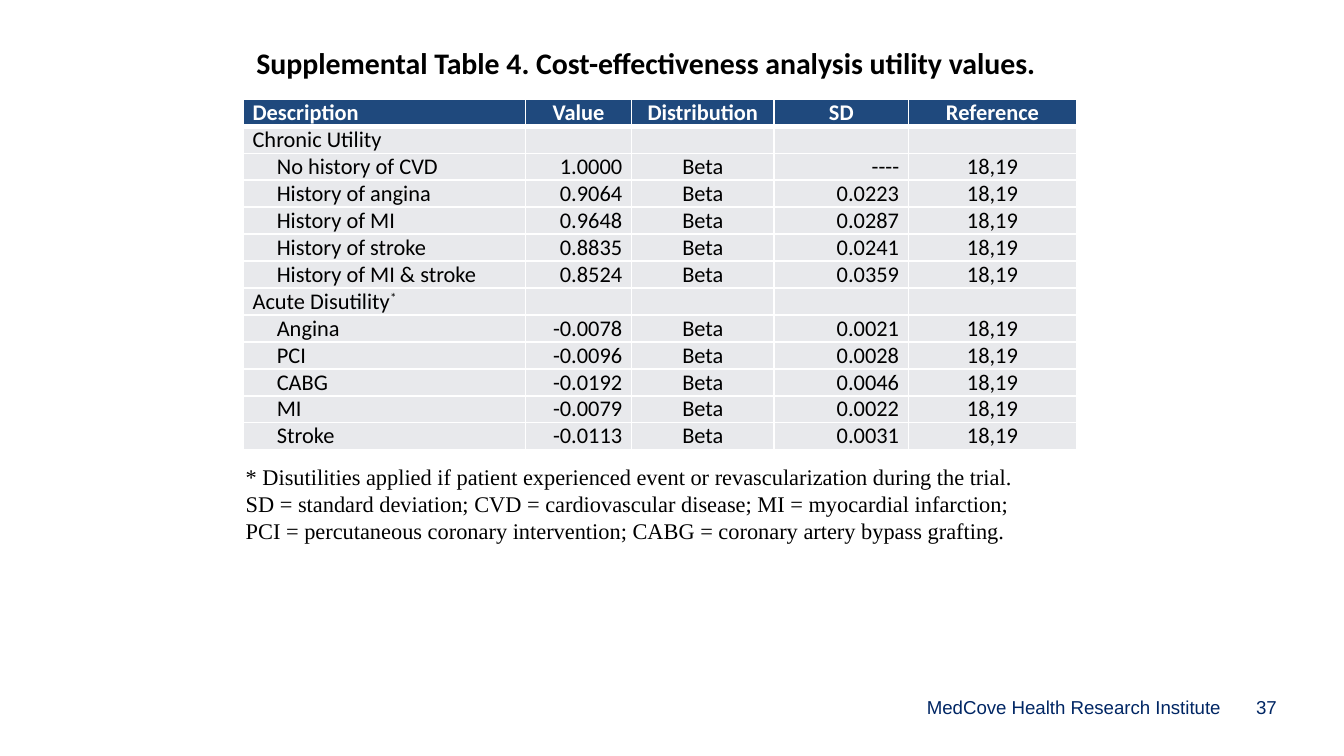
from dataclasses import dataclass

from lxml import etree
from pptx import Presentation
from pptx import util as u
from pptx.dml.color import RGBColor
from pptx.enum import text
from pptx.oxml import ns

LEFT, CENTER, RIGHT = text.PP_ALIGN.LEFT, text.PP_ALIGN.CENTER, text.PP_ALIGN.RIGHT


@dataclass(frozen=True)
class Theme:
    white: str = "FFFFFF"
    black: str = "000000"
    navy: str = "002664"
    header: str = "1F497D"
    cell: str = "E8E9EC"
    table_font: str = "Calibri"
    note_font: str = "Times New Roman"
    footer_font: str = "Arial"
    title_size: int = 16
    body_size: int = 12
    footer_size: int = 10


T = Theme()
SLIDE_WIDTH = 10
SLIDE_HEIGHT = SLIDE_WIDTH * 9 / 16
HEADERS = ["Description", "Value", "Distribution", "SD", "Reference"]
ALIGNS = [LEFT, RIGHT, CENTER, RIGHT, CENTER]
COL_WIDTHS = [2.1, 0.79, 1.06, 1, 1.25]
GROUPS = {
    "Chronic Utility": [
        ("No history of CVD", "1.0000", "----"),
        ("History of angina", "0.9064", "0.0223"),
        ("History of MI", "0.9648", "0.0287"),
        ("History of stroke", "0.8835", "0.0241"),
        ("History of MI & stroke", "0.8524", "0.0359"),
    ],
    "Acute Disutility*": [
        ("Angina", "-0.0078", "0.0021"),
        ("PCI", "-0.0096", "0.0028"),
        ("CABG", "-0.0192", "0.0046"),
        ("MI", "-0.0079", "0.0022"),
        ("Stroke", "-0.0113", "0.0031"),
    ],
}
NOTES = [
    "* Disutilities applied if patient experienced event or revascularization during the trial.",
    "SD = standard deviation; CVD = cardiovascular disease; MI = myocardial infarction;",
    "PCI = percutaneous coronary intervention; CABG = coronary artery bypass grafting.",
]


def write(p, content, size=T.body_size, font=T.table_font, color=T.black,
          bold=False, align=LEFT, superscript=False):
    p.alignment = align
    r = p.add_run()
    r.text = content
    r.font.size = u.Pt(size)
    r.font.name = font
    r.font.bold = bold
    r.font.color.rgb = RGBColor.from_string(color)
    if superscript:
        r.font._element.set("baseline", "30000")


def add_text(slide, box, lines, inset=(0.1, 0.05), wrap=True,
             anchor=text.MSO_ANCHOR.TOP, **style):
    tf = slide.shapes.add_textbox(*map(u.Inches, box)).text_frame
    tf.word_wrap = wrap
    tf.vertical_anchor = anchor
    tf.margin_left = tf.margin_right = u.Inches(inset[0])
    tf.margin_top = tf.margin_bottom = u.Inches(inset[1])
    for i, line in enumerate(lines):
        p = tf.add_paragraph() if i else tf.paragraphs[0]
        write(p, line, **style)


def set_borders(cell, bottom=1, top=1):
    tc_pr = cell._tc.get_or_add_tcPr()
    for side, width in (("L", 1), ("R", 1), ("T", top), ("B", bottom)):
        ln = etree.SubElement(tc_pr, ns.qn(f"a:ln{side}"), w=str(u.Pt(width)))
        fill = etree.SubElement(ln, ns.qn("a:solidFill"))
        etree.SubElement(fill, ns.qn("a:srgbClr"), val=T.white)


def format_cell(cell, fill, left=0.07, **borders):
    set_borders(cell, **borders)
    cell.fill.solid()
    cell.fill.fore_color.rgb = RGBColor.from_string(fill)
    cell.margin_left = u.Inches(left)
    cell.margin_right = u.Inches(0.07)
    cell.margin_top = cell.margin_bottom = 0


def table_rows():
    for group, items in GROUPS.items():
        yield [group, "", "", "", ""]
        for name, value, sd in items:
            yield [name, value, "Beta", sd, "18,19"]


def add_utility_table(slide, box):
    rows = list(table_rows())
    count = len(rows) + 1
    table = slide.shapes.add_table(count, len(HEADERS), *map(u.Inches, box)).table
    table.horz_banding = False
    for column, width in zip(table.columns, COL_WIDTHS):
        column.width = u.Inches(width)
    for row in table.rows:
        row.height = u.Inches(box[3] / count)
    for c, label in enumerate(HEADERS):
        cell = table.cell(0, c)
        format_cell(cell, T.header, bottom=3)
        write(cell.text_frame.paragraphs[0], label, color=T.white, bold=True,
              align=CENTER if c else LEFT)
    for r, values in enumerate(rows, 1):
        for c, value in enumerate(values):
            cell = table.cell(r, c)
            indented = c == 0 and value not in GROUPS
            format_cell(cell, T.cell, left=0.25 if indented else 0.07,
                        top=3 if r == 1 else 1)
            p = cell.text_frame.paragraphs[0]
            if not value:
                etree.SubElement(p._p, ns.qn("a:endParaRPr"), sz=str(T.body_size * 100))
                continue
            write(p, value.rstrip("*"), align=ALIGNS[c])
            if value.endswith("*"):
                write(p, "*", superscript=True)


def add_footer(slide, box):
    left, top, width, height = box
    number_width, gap = 0.29, 0.13
    name_width = width - number_width - gap
    style = dict(inset=(0, 0), size=T.footer_size, font=T.footer_font,
                 color=T.navy, align=RIGHT)
    add_text(slide, (left, top, name_width, height),
             ["MedCove Health Research Institute"], **style)
    add_text(slide, (left + name_width + gap, top, number_width, height), ["37"], **style)


def main():
    prs = Presentation()
    prs.slide_width, prs.slide_height = u.Inches(SLIDE_WIDTH), u.Inches(SLIDE_HEIGHT)
    slide = prs.slides.add_slide(prs.slide_layouts[6])
    add_footer(slide, (5.34, 5.18, 4.16, 0.17))
    add_utility_table(slide, (1.81, 0.74, 6.2, 2.6))
    add_text(slide, (1.73, 3.39, 6, 0.71), NOTES, wrap=False,
             anchor=text.MSO_ANCHOR.MIDDLE, font=T.note_font)
    add_text(slide, (1.81, 0.28, 6.56, 0.67),
             ["Supplemental Table 4. Cost-effectiveness analysis utility values."],
             size=T.title_size, bold=True)
    prs.save("out.pptx")


if __name__ == "__main__":
    main()
